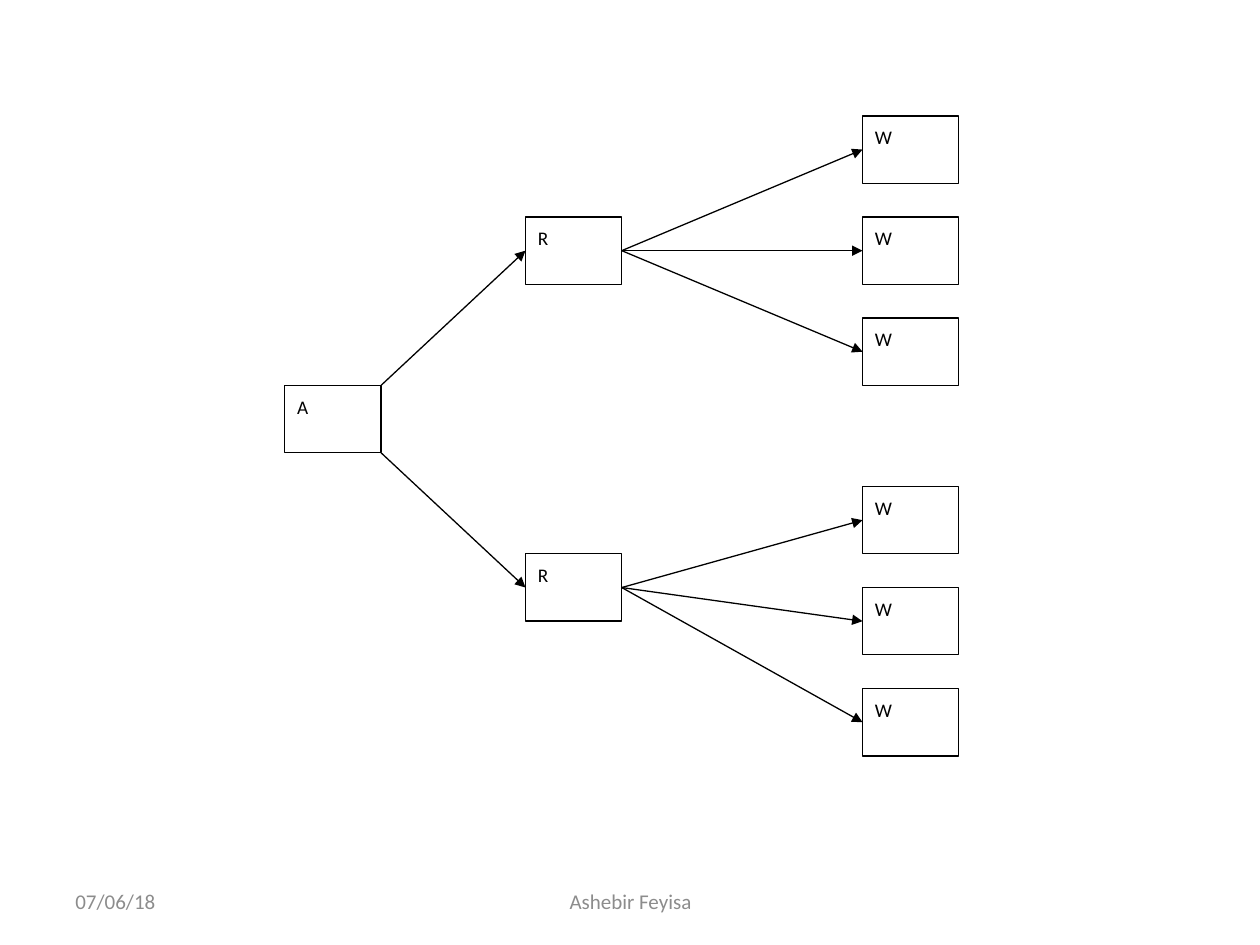
from lxml import etree
from pptx import Presentation
from pptx.dml.color import RGBColor
from pptx.enum.shapes import MSO_CONNECTOR, MSO_SHAPE
from pptx.enum.text import MSO_ANCHOR, PP_ALIGN
from pptx.oxml.ns import qn
from pptx.util import Inches, Pt

RECTANGLE = MSO_SHAPE.RECTANGLE
STRAIGHT = MSO_CONNECTOR.STRAIGHT
LEFT, CENTER = PP_ALIGN.LEFT, PP_ALIGN.CENTER
TOP, MIDDLE = MSO_ANCHOR.TOP, MSO_ANCHOR.MIDDLE

BLACK = RGBColor(0x00, 0x00, 0x00)
WHITE = RGBColor(0xFF, 0xFF, 0xFF)
GRAY = RGBColor(0x8C, 0x8C, 0x8C)
FONT = "Calibri"

# Diagram grid: 14 columns by 19 rows, each box covers 2 by 2 cells
GRID_LEFT, GRID_TOP = 2.26, 0.92
COLUMN = (7.61 - GRID_LEFT) / 14
ROW = (6.0 - GRID_TOP) / 19
BOX_CELLS = 2

ROOT_COLUMN, BRANCH_COLUMN, LEAF_COLUMN = 0, 5, 12
ROOT_ROW = 8
BRANCHES = {3: (0, 3, 6), 13: (11, 14, 17)}  # branch row: leaf rows


def grid_point(column, row):
    return Inches(GRID_LEFT + column * COLUMN), Inches(GRID_TOP + row * ROW)


def write_text(shape, text, size=11, color=BLACK, align=LEFT, anchor=TOP,
               line_spacing=None, space_after=0):
    frame = shape.text_frame
    frame.word_wrap = True
    frame.vertical_anchor = anchor
    paragraph = frame.paragraphs[0]
    paragraph.alignment = align
    paragraph.line_spacing = line_spacing
    paragraph.space_after = Pt(space_after)
    run = paragraph.add_run()
    run.text = text
    run.font.name = FONT
    run.font.size = Pt(size)
    run.font.color.rgb = color


def add_box(shapes, text, column, row):
    size = Inches(BOX_CELLS * COLUMN), Inches(BOX_CELLS * ROW)
    box = shapes.add_shape(RECTANGLE, *grid_point(column, row), *size)
    box.shadow.inherit = False
    box.fill.solid()
    box.fill.fore_color.rgb = WHITE
    box.line.color.rgb = BLACK
    box.line.width = Pt(0.75)
    write_text(box, text, line_spacing=1.15, space_after=10)


def add_arrow(shapes, start, end):
    arrow = shapes.add_connector(STRAIGHT, *grid_point(*start), *grid_point(*end))
    arrow.line.color.rgb = BLACK
    arrow.line.width = Pt(0.75)
    properties = arrow._element.spPr
    line = properties.find(qn("a:ln"))
    etree.SubElement(line, qn("a:tailEnd"), type="triangle")
    etree.SubElement(properties, qn("a:effectLst"))


def add_footer(slide, text, left, width, align):
    footer = slide.shapes.add_textbox(Inches(left), Inches(6.95),
                                      Inches(width), Inches(0.4))
    write_text(footer, text, size=12, color=GRAY, align=align, anchor=MIDDLE)


def add_tree(slide):
    shapes = slide.shapes.add_group_shape().shapes

    # Boxes
    add_box(shapes, "A", ROOT_COLUMN, ROOT_ROW)
    for branch_row, leaf_rows in BRANCHES.items():
        add_box(shapes, "R", BRANCH_COLUMN, branch_row)
        for leaf_row in leaf_rows:
            add_box(shapes, "W", LEAF_COLUMN, leaf_row)

    # Arrows: from the root's right corners, then from each branch's middle
    root_corners = (ROOT_ROW, ROOT_ROW + BOX_CELLS)
    for corner_row, (branch_row, leaf_rows) in zip(root_corners, BRANCHES.items()):
        branch_middle = branch_row + BOX_CELLS / 2
        add_arrow(shapes, (ROOT_COLUMN + BOX_CELLS, corner_row),
                  (BRANCH_COLUMN, branch_middle))
        for leaf_row in leaf_rows:
            add_arrow(shapes, (BRANCH_COLUMN + BOX_CELLS, branch_middle),
                      (LEAF_COLUMN, leaf_row + BOX_CELLS / 2))


def main():
    presentation = Presentation()
    presentation.slide_width = Inches(10)
    presentation.slide_height = Inches(7.5)
    slide = presentation.slides.add_slide(presentation.slide_layouts[6])

    add_footer(slide, "07/06/18", 0.5, 2.33, LEFT)
    add_footer(slide, "Ashebir Feyisa", 3.42, 3.17, CENTER)
    add_tree(slide)

    presentation.save("out.pptx")


main()
